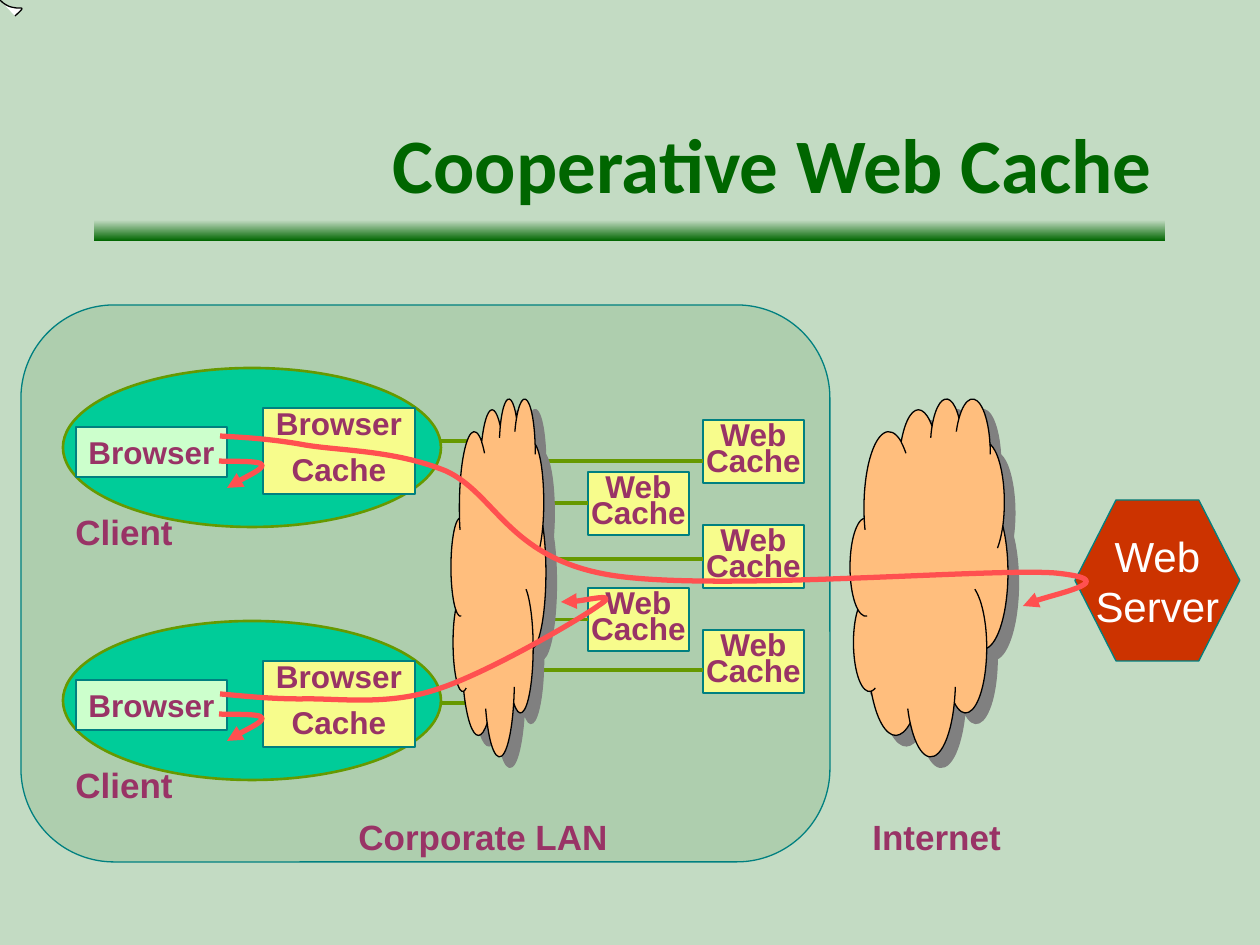
from math import atan2, cos, pi, sin, tan

from lxml import etree
from pptx import Presentation
from pptx.dml.color import RGBColor
from pptx.enum.shapes import MSO_CONNECTOR, MSO_SHAPE
from pptx.enum.text import MSO_ANCHOR, PP_ALIGN
from pptx.oxml.ns import qn
from pptx.util import Emu, Pt

PX = 914400 // 126
RECT, ROUND, OVAL, HEXAGON = (MSO_SHAPE.RECTANGLE, MSO_SHAPE.ROUNDED_RECTANGLE,
                              MSO_SHAPE.OVAL, MSO_SHAPE.HEXAGON)
STRAIGHT = MSO_CONNECTOR.STRAIGHT
LEFT, CENTER, RIGHT = PP_ALIGN.LEFT, PP_ALIGN.CENTER, PP_ALIGN.RIGHT
TOP, MIDDLE = MSO_ANCHOR.TOP, MSO_ANCHOR.MIDDLE
LEFT_SIDE = 1

THEME = {
    "bg": "C3DBC3", "title": "006600", "lan": "AECEAE", "edge": "008080", "wire": "669900",
    "client": "00CC99", "browser": "CCFFCC", "cache": "F7FC8C", "server": "CC3300",
    "cloud": "FFBE7D", "shadow": "808080", "flow": "FF5050", "label": "993366",
    "white": "FFFFFF", "black": "000000",
}
TITLE = {"size": 44, "color": "title", "font": "Calibri", "align": RIGHT}
LABEL = {"size": 20, "before": 12.5, "align": LEFT, "anchor": TOP}
NODE = {"size": 18, "before": 11.2}
TIGHT = {**NODE, "spacing": 0.7}
CACHE = {**TIGHT, "inset": 0}
SERVER = {"size": 24, "color": "white", "bold": False, "wrap": False}

CLIENT_STEP = 253
CLIENT_TOPS = [368, 368 + CLIENT_STEP]
CLIENT_WIRES = [441, 703]
LOOP = [(219, 461), (227, 462), (261, 460), (262, 465), (263, 469), (234, 483), (227, 488)]
CORNER_MARK = [(0, 0), (15, 16), (32, 0), (15, 16)]
FLOWS = [
    [(220, 436), (234, 437), (267, 438), (305, 445), (341, 451), (394, 450), (446, 471),
     (496, 494), (508, 558), (610, 575), (712, 592), (987, 568), (1055, 573),
     (1124, 580), (1029, 600), (1023, 606)],
    [(220, 694), (234, 695), (265, 699), (301, 699), (336, 698), (386, 706), (435, 690),
     (484, 675), (577, 621), (598, 606), (620, 592), (570, 604), (561, 602)],
]
LABELS = [("Internet", (860, 809, 199, 55)), ("Corporate LAN", (346, 809, 294, 55))]
NEAR_CACHES = [472, 588]
FAR_CACHES = [(420, 461), (525, 559), (630, 670)]  # box top, wire height
CLOUDS = [(850, 399, 158, 358), (451, 399, 95, 358)]

# Cloud lobes on a 21600 grid: ellipse box, then the point where the lobe starts
GRID = 21600
LOBES = [
    ((0, 7165, 4345, 13110), (1950, 7185)), ((475, 11732, 4835, 17650), (1080, 12690)),
    ((2387, 9757, 10107, 20300), (2910, 17640)), ((7660, 12382, 14412, 21597), (8235, 19545)),
    ((12910, 11080, 18695, 18947), (14280, 18330)), ((14822, 5862, 21597, 15082), (18690, 15045)),
    ((15772, 2592, 21105, 9865), (20895, 7665)), ((14330, 0, 19187, 6595), (19140, 2715)),
    ((10992, 0, 15357, 5945), (14910, 1170)), ((6692, 650, 12025, 7917), (11250, 1665)),
    ((1912, 1972, 8665, 11162), (7005, 2580)),
]
# Creases: lobe index, start, end
CREASES = [
    (0, (1080, 12690), (2340, 13080)), (1, (2910, 17640), (3465, 17445)),
    (3, (7905, 18675), (8235, 19545)), (3, (14280, 18330), (14400, 17370)),
    (4, (18690, 15045), (17070, 11475)), (6, (20175, 9015), (20895, 7665)),
    (7, (19200, 3345), (19140, 2715)), (7, (14910, 1170), (14550, 1980)),
    (8, (11250, 1665), (11040, 2340)), (10, (7650, 3270), (7005, 2580)),
    (10, (1950, 7185), (2070, 7890)),
]


def rgb(name):
    return RGBColor.from_string(THEME[name])


def px(*values):
    return [Emu(round(v * PX)) for v in values]


def paint(sp, fill, line, width):
    sp.shadow.inherit = False
    if fill:
        sp.fill.solid()
        sp.fill.fore_color.rgb = rgb(fill)
    else:
        sp.fill.background()
    if line:
        sp.line.color.rgb = rgb(line)
        sp.line.width = Pt(width)
    else:
        sp.line.fill.background()


def write(sp, lines, size, color="label", font="Arial", bold=True, align=CENTER,
          anchor=MIDDLE, before=0, spacing=1.0, inset=None, wrap=True):
    tf = sp.text_frame
    frame = {"word_wrap": wrap, "vertical_anchor": anchor}
    if inset is not None:
        frame.update({f"margin_{side}": inset for side in ("left", "top", "right", "bottom")})
    for key, value in frame.items():
        setattr(tf, key, value)
    for i, text in enumerate(lines):
        p = tf.add_paragraph() if i else tf.paragraphs[0]
        for key, value in {"alignment": align, "space_before": Pt(before),
                           "line_spacing": spacing}.items():
            setattr(p, key, value)
        r = p.add_run()
        r.text = text
        for key, value in {"size": Pt(size), "name": font, "bold": bold}.items():
            setattr(r.font, key, value)
        r.font.color.rgb = rgb(color)


def add_box(slide, kind, box, fill, line="edge", width=0.75, lines=(), style=None):
    sp = slide.shapes.add_shape(kind, *px(*box))
    paint(sp, fill, line, width)
    if lines:
        write(sp, lines, **style)
    return sp


def add_text(slide, text, box, style):
    write(slide.shapes.add_textbox(*px(*box)), [text], **style)


def add_wire(slide, x1, x2, y, target=None):
    cx = slide.shapes.add_connector(STRAIGHT, *px(x1, y, x2, y))
    cx.line.color.rgb = rgb("wire")
    cx.line.width = Pt(2.25)
    etree.SubElement(cx.element.spPr, qn("a:effectLst"))
    if target:
        cx.end_connect(target, LEFT_SIDE)


def add_curves(slide, box, extent, paths, fill, line, width):
    """Freeform of cubic curves; the first path is closed and filled if there are more."""
    x, y, w, h = box
    builder = slide.shapes.build_freeform(x, y, scale=PX)
    builder.add_line_segments([(x + w, y + h)], close=False)
    sp = builder.convert_to_shape()
    path_list = next(sp.element.iter(qn("a:pathLst")))
    path_list.clear()
    for i, points in enumerate(paths):
        path = etree.SubElement(path_list, qn("a:path"), w=str(extent[0]), h=str(extent[1]))
        if i:
            path.set("fill", "none")
        steps = [("a:moveTo", points[:1])]
        steps += [("a:cubicBezTo", points[k:k + 3]) for k in range(1, len(points), 3)]
        for tag, step_points in steps:
            step = etree.SubElement(path, qn(tag))
            for px_x, px_y in step_points:
                etree.SubElement(step, qn("a:pt"), x=str(round(px_x)), y=str(round(px_y)))
        if len(paths) > 1 and not i:
            etree.SubElement(path, qn("a:close"))
    paint(sp, fill, line, width)
    return sp


def add_stroke(slide, points, fill=None, line="flow", width=3, arrow=True):
    xs, ys = zip(*points)
    x, y = min(xs), min(ys)
    size = (max(xs) - x, max(ys) - y)
    local = [((a - x) * PX, (b - y) * PX) for a, b in points]
    extent = [v * PX for v in size]
    sp = add_curves(slide, (x, y, *size), extent, [local], fill, line, width)
    if arrow:
        etree.SubElement(sp.line._get_or_add_ln(), qn("a:tailEnd"), type="triangle")


def arc(box, start, end, parts=3):
    """Counterclockwise elliptical arc as cubic control points, start included."""
    l, t, r, b = box
    cx, cy, rx, ry = (l + r) / 2, (t + b) / 2, (r - l) / 2, (b - t) / 2
    a, z = [atan2((y - cy) / ry, (x - cx) / rx) for x, y in (start, end)]
    step = -((a - z) % (2 * pi)) / parts
    k = 4 / 3 * tan(step / 4)

    def point(angle, pull=0):
        return (cx + rx * (cos(angle) - pull * sin(angle)),
                cy + ry * (sin(angle) + pull * cos(angle)))

    points = [point(a)]
    for i in range(parts):
        u, v = a + i * step, a + (i + 1) * step
        points += [point(u, k), point(v, -k), point(v)]
    return points


def add_cloud(slide, box):
    outline = [LOBES[0][1]]
    for i, (lobe, start) in enumerate(LOBES):
        outline += arc(lobe, start, LOBES[(i + 1) % len(LOBES)][1])[1:]
    creases = [arc(LOBES[i][0], start, end) for i, start, end in CREASES]
    sp = add_curves(slide, box, (GRID, GRID), [outline, *creases], "cloud", "black", 0.75)
    effects = sp.element.spPr.find(qn("a:effectLst"))
    shadow = etree.SubElement(effects, qn("a:outerShdw"), dist=str(Pt(8.5)), dir="2700000",
                              algn="ctr", rotWithShape="0")
    etree.SubElement(shadow, qn("a:srgbClr"), val=THEME["shadow"])


def main():
    prs = Presentation()
    prs.slide_width, prs.slide_height = px(1260, 945)
    slide = prs.slides.add_slide(prs.slide_layouts[6])
    slide.background.fill.solid()
    slide.background.fill.fore_color.rgb = rgb("bg")

    rule = add_box(slide, RECT, (94, 220, 1071, 21), "title", line=None)
    rule.fill.gradient()
    rule.fill.gradient_angle = 270
    for stop, name in zip(rule.fill.gradient_stops, ("bg", "title")):
        stop.color.rgb = rgb(name)
    add_text(slide, "Cooperative Web Cache", (94, 84, 1071, 158), TITLE)
    add_stroke(slide, CORNER_MARK, "white", "black", 0.75, arrow=False)

    add_box(slide, ROUND, (21, 305, 809, 557), "lan").adjustments[0] = 0.167
    for text, box in LABELS:
        add_text(slide, text, box, LABEL)
    for y in CLIENT_WIRES:
        add_wire(slide, 514, 441, y)
    add_cloud(slide, CLOUDS[0])
    add_box(slide, HEXAGON, (1075, 500, 165, 161), "server",
            lines=["Web", "Server"], style=SERVER).adjustments[0] = 0.255

    for i, top in enumerate(CLIENT_TOPS):
        add_box(slide, OVAL, (63, top, 378, 159), "client", "wire", 1.5)
        add_box(slide, RECT, (76, top + 59, 151, 50), "browser",
                lines=["Browser"], style={**NODE, "wrap": False})
        add_box(slide, RECT, (263, top + 40, 152, 86), "cache",
                lines=["Browser", "Cache"], style=TIGHT)
        add_stroke(slide, [(x, y + i * CLIENT_STEP) for x, y in LOOP])
        add_text(slide, "Client", (63, top + 136, 125, 55), LABEL)

    caches = [(588, top, top + 31.5, True) for top in NEAR_CACHES]
    caches += [(703, top, wire, False) for top, wire in FAR_CACHES]
    for x, top, wire, joined in caches:
        sp = add_box(slide, RECT, (x, top, 101, 63), "cache", lines=["Web Cache"], style=CACHE)
        add_wire(slide, 510, x, wire, sp if joined else None)
    add_cloud(slide, CLOUDS[1])
    for points in FLOWS:
        add_stroke(slide, points)
    prs.save("out.pptx")


if __name__ == "__main__":
    main()
